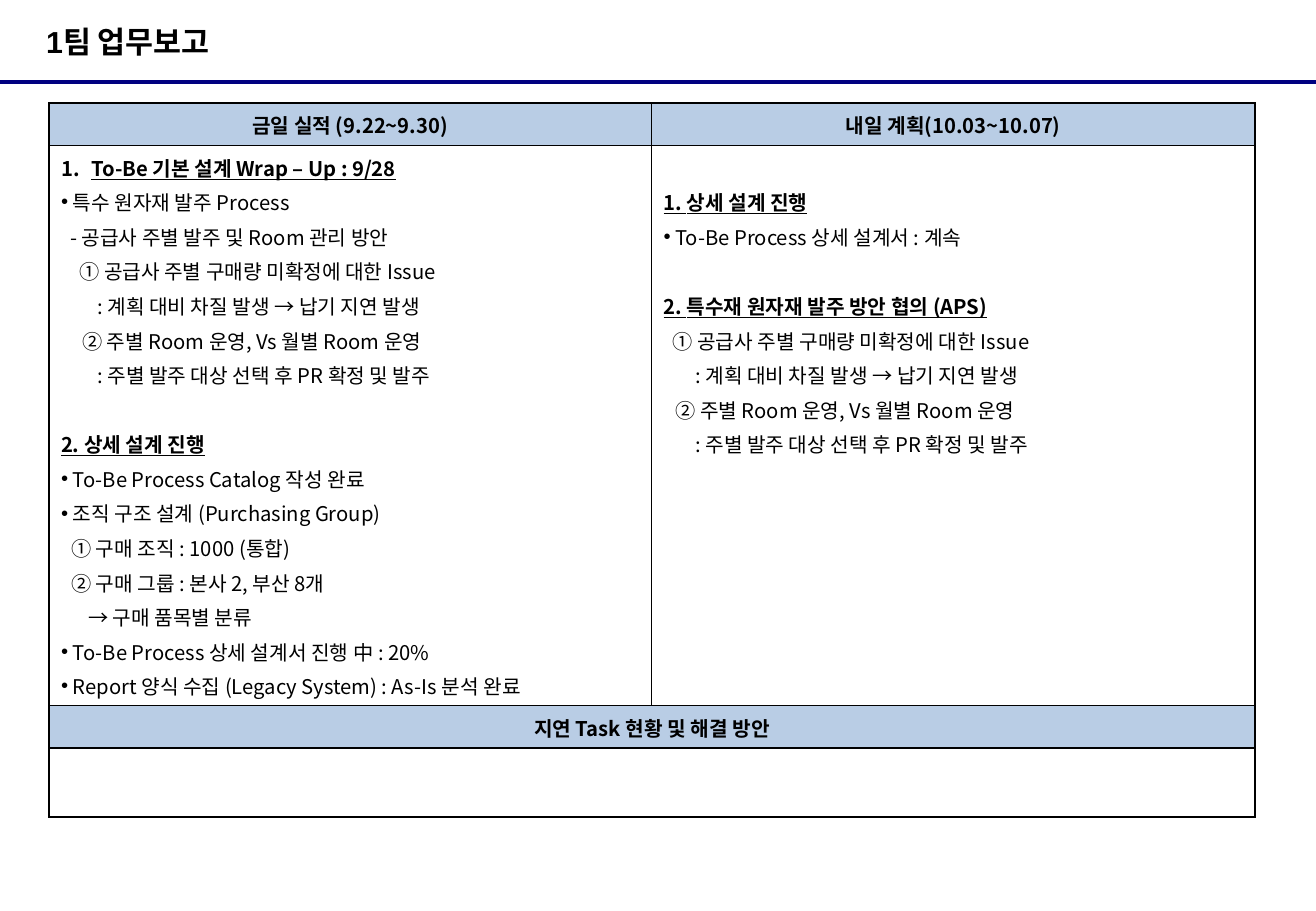
from lxml import etree
from pptx import Presentation
from pptx.dml.color import RGBColor
from pptx.enum.shapes import MSO_CONNECTOR
from pptx.enum.text import MSO_ANCHOR, PP_ALIGN
from pptx.oxml.ns import qn
from pptx.util import Pt

STRAIGHT = MSO_CONNECTOR.STRAIGHT
MIDDLE = MSO_ANCHOR.MIDDLE
LEFT = PP_ALIGN.LEFT
CENTER = PP_ALIGN.CENTER

BLACK, NAVY, PALE_BLUE = "000000", "000080", "B9CDE5"
KOREAN_FONT = "Noto Sans CJK KR"
COLUMNS = (357.1, 357.9)
ROWS = (25.2, 331.9, 25.2, 41)
SPACE_BEFORE = 2.4
BLANK_LINE = 20.5

HEADING = {"bold": True, "underline": True}
HEADER = {"bold": True}
PLAIN = {"bold": False}

# Each line: style, marker, indent in points, text
TODAY = [
    (HEADING, "number", 18, "To-Be 기본 설계 Wrap – Up : 9/28"),
    (PLAIN, "bullet", 7, "특수 원자재 발주 Process"),
    (PLAIN, None, 5.4, "- 공급사 주별 발주 및 Room 관리 방안"),
    (PLAIN, None, 10.8, "① 공급사 주별 구매량 미확정에 대한 Issue"),
    (PLAIN, None, 21.5, ": 계획 대비 차질 발생 → 납기 지연 발생"),
    (PLAIN, None, 12.5, "② 주별 Room 운영, Vs 월별 Room 운영"),
    (PLAIN, None, 21.5, ": 주별 발주 대상 선택 후 PR 확정 및 발주"),
    (HEADING, None, 0, "2. 상세 설계 진행"),
    (PLAIN, "bullet", 7, "To-Be Process Catalog 작성 완료"),
    (PLAIN, "bullet", 7, "조직 구조 설계 (Purchasing Group)"),
    (PLAIN, None, 6, "① 구매 조직 : 1000 (통합)"),
    (PLAIN, None, 6, "② 구매 그룹 : 본사 2, 부산 8개"),
    (PLAIN, None, 16, "→ 구매 품목별 분류"),
    (PLAIN, "bullet", 7, "To-Be Process 상세 설계서 진행 中 : 20%"),
    (PLAIN, "bullet", 7, "Report 양식 수집 (Legacy System) : As-Is 분석 완료"),
]
TOMORROW = [
    (HEADING, None, 0, "1. 상세 설계 진행"),
    (PLAIN, "bullet", 7, "To-Be Process 상세 설계서 : 계속"),
    (HEADING, None, 0, "2. 특수재 원자재 발주 방안 협의 (APS)"),
    (PLAIN, None, 5.4, "① 공급사 주별 구매량 미확정에 대한 Issue"),
    (PLAIN, None, 18.8, ": 계획 대비 차질 발생 → 납기 지연 발생"),
    (PLAIN, None, 7, "② 주별 Room 운영, Vs 월별 Room 운영"),
    (PLAIN, None, 18.8, ": 주별 발주 대상 선택 후 PR 확정 및 발주"),
]


def color(value):
    return RGBColor.from_string(value)


def set_all(target, values):
    for name, value in values.items():
        setattr(target, name, value)


def add_span(para, text, **font):
    span = para.add_run()
    span.text = text
    set_all(span.font, {"name": KOREAN_FONT, "size": Pt(12), **font})
    span.font.color.rgb = color(BLACK)
    east_asian = etree.SubElement(span.font._element, qn("a:ea"))
    east_asian.set("typeface", KOREAN_FONT)


def set_marker(para, marker, indent):
    """Indent a paragraph, hanging its bullet or number if it has one."""
    properties = para._p.get_or_add_pPr()
    properties.set("marL", str(Pt(indent)))
    properties.set("indent", str(-Pt(indent) if marker else 0))
    if marker == "bullet":
        etree.SubElement(properties, qn("a:buFont")).set("typeface", "Arial")
        etree.SubElement(properties, qn("a:buChar")).set("char", "•")
    elif marker == "number":
        etree.SubElement(properties, qn("a:buAutoNum")).set("type", "arabicPeriod")
    else:
        etree.SubElement(properties, qn("a:buNone"))


def fill_cell(cell, lines, align=LEFT):
    """Write lines; every heading after the first line gets a gap above."""
    frame = cell.text_frame
    for index, (style, marker, indent, text) in enumerate(lines):
        para = frame.add_paragraph() if index else frame.paragraphs[0]
        gap = SPACE_BEFORE + (BLANK_LINE if style is HEADING else 0)
        set_all(para, {"alignment": align, "line_spacing": 1.04,
                       "space_before": Pt(gap if index else 0)})
        set_marker(para, marker, indent)
        add_span(para, text, **style)


def fill_header(cell, text):
    cell.fill.solid()
    cell.fill.fore_color.rgb = color(PALE_BLUE)
    cell.vertical_anchor = MIDDLE
    fill_cell(cell, [(HEADER, None, 0, text)], CENTER)


def set_borders(cell):
    properties = cell._tc.get_or_add_tcPr()
    for side in ("lnL", "lnR", "lnT", "lnB"):
        line = etree.SubElement(properties, qn(f"a:{side}"), w=str(Pt(1)))
        solid = etree.SubElement(line, qn("a:solidFill"))
        etree.SubElement(solid, qn("a:srgbClr"), val=BLACK)


def add_title(page, text):
    box = page.shapes.add_textbox(Pt(27.4), Pt(0), Pt(510), Pt(49))
    frame = box.text_frame
    set_all(frame, {"word_wrap": True, "vertical_anchor": MIDDLE,
                    "margin_left": 0, "margin_right": 0,
                    "margin_top": 0, "margin_bottom": 0})
    add_span(frame.paragraphs[0], text, name="Arial", size=Pt(18), bold=True)


def add_rule(page, width):
    rule = page.shapes.add_connector(STRAIGHT, 0, Pt(48.4), width, Pt(48.4))
    rule.line.color.rgb = color(NAVY)
    rule.line.width = Pt(2.25)
    etree.SubElement(rule._element.spPr, qn("a:effectLst"))


def add_report_table(page):
    table = page.shapes.add_table(
        len(ROWS), len(COLUMNS), Pt(29), Pt(61),
        Pt(sum(COLUMNS)), Pt(sum(ROWS))).table
    set_all(table, {"first_row": False, "horz_banding": False})
    for column, width in zip(table.columns, COLUMNS):
        column.width = Pt(width)
    for row, height in zip(table.rows, ROWS):
        row.height = Pt(height)
    for cell in table.iter_cells():
        set_borders(cell)
        cell.fill.background()
    for row in (2, 3):
        table.cell(row, 0).merge(table.cell(row, 1))

    fill_header(table.cell(0, 0), "금일 실적 (9.22~9.30)")
    fill_header(table.cell(0, 1), "내일 계획(10.03~10.07)")
    fill_header(table.cell(2, 0), "지연 Task 현황 및 해결 방안")
    fill_cell(table.cell(1, 0), TODAY)
    table.cell(1, 1).margin_top = Pt(3.6 + BLANK_LINE)
    fill_cell(table.cell(1, 1), TOMORROW)


def main():
    deck = Presentation()
    set_all(deck, {"slide_width": Pt(780), "slide_height": Pt(540)})
    page = deck.slides.add_slide(deck.slide_layouts[6])
    add_rule(page, deck.slide_width)
    add_title(page, "1팀 업무보고")
    add_report_table(page)
    deck.save("out.pptx")


if __name__ == "__main__":
    main()
